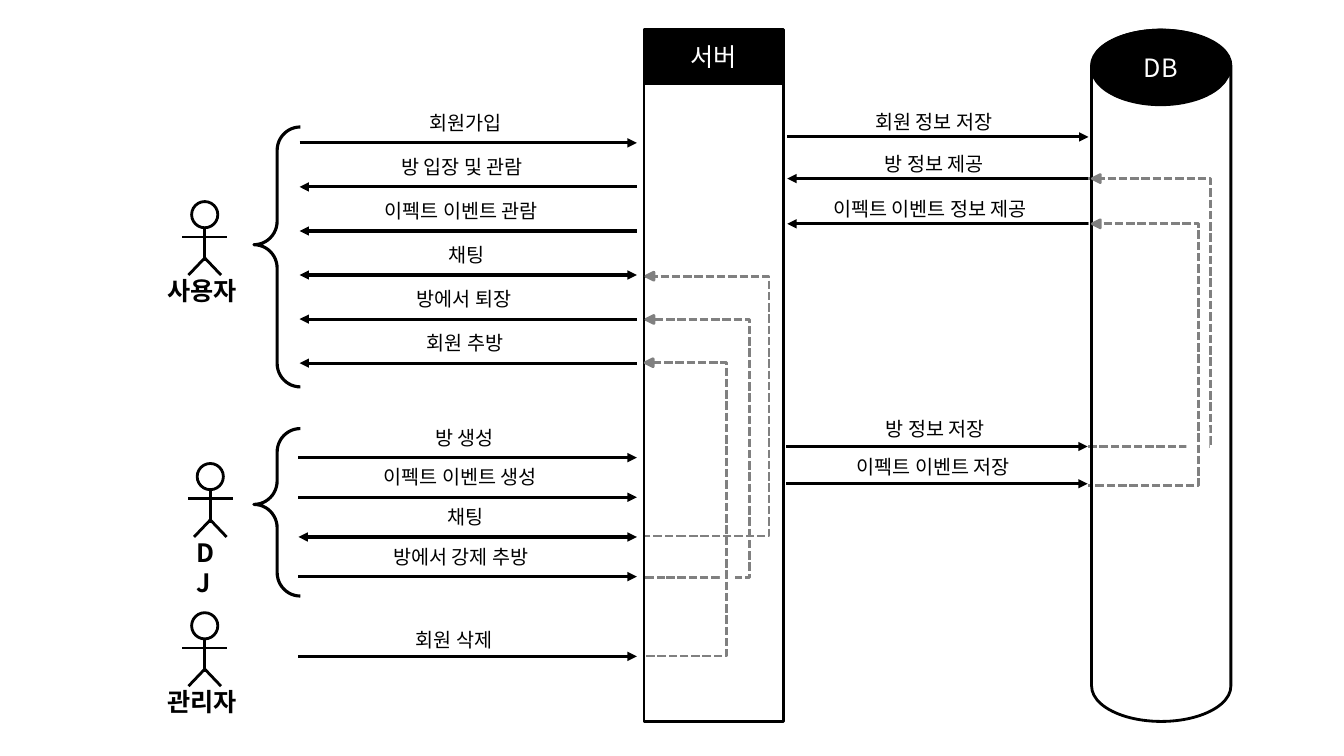
"""Draw the message flow between people, server and database as one slide."""
from dataclasses import dataclass
from enum import Enum
from typing import Any, NamedTuple

from lxml import etree
from pptx import Presentation
from pptx.dml.color import RGBColor
from pptx.enum import dml, shapes, text
from pptx.oxml import ns
from pptx.util import Cm, Pt


@dataclass(frozen=True)
class Theme:
    """Colours, font and sizes of the slide."""
    ink: RGBColor = RGBColor(0, 0, 0)
    paper: RGBColor = RGBColor(255, 255, 255)
    grey: RGBColor = RGBColor(128, 128, 128)
    font: str = "Noto Sans CJK KR"
    title_size: Pt = Pt(18)
    label_size: Pt = Pt(14)
    outline: Pt = Pt(2)
    arrow: Pt = Pt(2.25)


class Way(Enum):
    """Direction of a message."""
    RIGHT = "right"
    LEFT = "left"
    BOTH = "both"


class Box(NamedTuple):
    """Left, top, width and height in centimetres."""
    left: float
    top: float
    width: float
    height: float


class Message(NamedTuple):
    """Wording, height on the slide and direction of an arrow."""
    label: str
    y: float
    way: Way


@dataclass(frozen=True)
class Lane:
    """Messages sharing the same ends and label placement."""
    left: float
    right: float
    centre: float
    lift: float
    messages: list[Message]


@dataclass(frozen=True)
class Actor:
    """Stick figure with a name below."""
    name: str
    centre: float
    top: float
    name_width: float


@dataclass(frozen=True)
class ReturnPath:
    """Dashed loop with the left end of its arrowhead."""
    loop: Box
    tip: float


THEME = Theme()
SHAPE = shapes.MSO_SHAPE
USER_TOP, USER_STEP = 3.6, 1.11
DJ_TOP, DJ_STEP = 11.53, 1.0

USER_MESSAGES = [
    ("회원가입", Way.RIGHT), ("방 입장 및 관람", Way.LEFT),
    ("이펙트 이벤트 관람", Way.LEFT), ("채팅", Way.BOTH),
    ("방에서 퇴장", Way.LEFT), ("회원 추방", Way.LEFT),
]
DJ_MESSAGES = [
    ("방 생성", Way.RIGHT), ("이펙트 이벤트 생성", Way.RIGHT),
    ("채팅", Way.BOTH), ("방에서 강제 추방", Way.RIGHT),
]
LANES = [
    Lane(7.55, 16.05, 11.81, 0.93, [
        Message(label, USER_TOP + row * USER_STEP, way)
        for row, (label, way) in enumerate(USER_MESSAGES)]),
    Lane(7.52, 16.05, 11.78, 0.93, [
        Message(label, DJ_TOP + row * DJ_STEP, way)
        for row, (label, way) in enumerate(DJ_MESSAGES)]),
    Lane(7.52, 16.05, 11.54, 0.84, [Message("회원 삭제", 16.54, Way.RIGHT)]),
    Lane(19.84, 27.43, 23.68, 0.8, [
        Message("회원 정보 저장", 3.45, Way.RIGHT),
        Message("방 정보 제공", 4.5, Way.LEFT),
        Message("이펙트 이벤트 정보 제공", 5.64, Way.LEFT)]),
    Lane(19.81, 27.41, 23.7, 0.86, [
        Message("방 정보 저장", 11.25, Way.RIGHT),
        Message("이펙트 이벤트 저장", 12.19, Way.RIGHT)]),
]
ACTORS = [
    Actor("사용자", 5.16, 5.08, 2.39),
    Actor("관리자", 5.16, 15.44, 2.39),
    Actor("DJ", 5.3, 11.68, 1.17),
]
CHAT_RETURN = ReturnPath(Box(15.11, 6.96, 4.27, 6.55), 16.28)
LEAVE_RETURN = ReturnPath(Box(14.63, 8.05, 4.27, 6.5), 16.28)
BAN_RETURN = ReturnPath(Box(14.05, 9.14, 4.27, 7.39), 16.26)
ROOM_RETURN = ReturnPath(Box(26.47, 4.5, 4.04, 6.76), 27.53)
EFFECT_RETURN = ReturnPath(Box(26.57, 5.64, 3.63, 6.6), 27.53)
RETURNS = [CHAT_RETURN, LEAVE_RETURN, BAN_RETURN, ROOM_RETURN, EFFECT_RETURN]
BRACES = [Box(6.4, 10.8, 1.17, 4.22), Box(6.4, 3.2, 1.17, 6.55)]


def write(frame: Any, words: str, size: Pt, colour: RGBColor, bold: bool = False) -> None:
    """Put one styled paragraph into a text frame."""
    paragraph = frame.paragraphs[0]
    paragraph.text = words
    font = paragraph.font
    font.size, font.bold, font.name = size, bold, THEME.font
    font.color.rgb = colour
    defaults = paragraph._p.pPr.find(ns.qn("a:defRPr"))
    etree.SubElement(defaults, ns.qn("a:ea"), typeface=THEME.font)


def add_figure(parent: Any, kind: Any, box: Box, fill: RGBColor | None = None,
               line: RGBColor | None = THEME.ink, width: Pt = THEME.outline) -> Any:
    """Add a preset shape without shadow."""
    figure = parent.add_shape(kind, *map(Cm, box))
    figure.shadow.inherit = False
    if fill is None:
        figure.fill.background()
    else:
        figure.fill.solid()
        figure.fill.fore_color.rgb = fill
    if line is None:
        figure.line.fill.background()
    else:
        figure.line.color.rgb = line
        figure.line.width = width
    return figure


def add_line(parent: Any, x1: float, y1: float, x2: float, y2: float,
             width: Pt = THEME.outline, ends: tuple[str, ...] = ()) -> None:
    """Add a straight line with optional arrowheads."""
    line = parent.add_connector(shapes.MSO_CONNECTOR.STRAIGHT, *map(Cm, (x1, y1, x2, y2)))
    line.line.color.rgb = THEME.ink
    line.line.width = width
    for end in ends:
        etree.SubElement(line.line._get_or_add_ln(), ns.qn(f"a:{end}"), type="triangle")
    etree.SubElement(line._element.spPr, ns.qn("a:effectLst"))


def add_label(parent: Any, box: Box, words: str, size: Pt, bold: bool, wrap: bool) -> None:
    """Add a text box that grows with its text."""
    frame = parent.add_textbox(*map(Cm, box)).text_frame
    frame.word_wrap = wrap
    frame.auto_size = text.MSO_AUTO_SIZE.SHAPE_TO_FIT_TEXT
    write(frame, words, size, THEME.ink, bold)


def add_loop(parent: Any, path: ReturnPath) -> None:
    """Add the dashed outline of a return path."""
    loop = add_figure(parent, SHAPE.RECTANGLE, path.loop, line=THEME.grey)
    loop.line.dash_style = dml.MSO_LINE.SQUARE_DOT


def add_actor(parent: Any, actor: Actor) -> None:
    """Add a grouped stick figure and its name."""
    group = parent.add_group_shape().shapes
    x, y = actor.centre, actor.top
    add_figure(group, SHAPE.OVAL, Box(x - 0.33, y, 0.66, 0.66))
    add_line(group, x, y + 0.66, x, y + 1.5)
    for side in (-1, 1):
        add_line(group, x, y + 1.42, x + side * 0.41, y + 1.85)
    add_line(group, x - 0.56, y + 0.89, x + 0.56, y + 0.89)
    name_box = Box(x - actor.name_width / 2, y + 1.73, actor.name_width, 1.02)
    add_label(group, name_box, actor.name, THEME.title_size, True, True)


def add_message(parent: Any, lane: Lane, message: Message) -> None:
    """Add an arrow with its label above."""
    start, end = lane.left, lane.right
    if message.way is Way.LEFT:
        start, end = end, start
    ends = ("headEnd", "tailEnd") if message.way is Way.BOTH else ("tailEnd",)
    add_line(parent, start, message.y, end, message.y, THEME.arrow, ends)
    gaps = message.label.count(" ")
    width = 0.51 + 0.49 * (len(message.label) - gaps) + 0.15 * gaps
    label_box = Box(lane.centre - width / 2, message.y - lane.lift, width, 0.86)
    add_label(parent, label_box, message.label, THEME.label_size, False, False)


def add_store(parent: Any, body: Any, body_box: Box, cap: Any, cap_box: Box, title: str) -> None:
    """Add a grouped body with a black titled cap."""
    group = parent.add_group_shape().shapes
    outline = add_figure(group, body, body_box)
    if body is SHAPE.CAN:
        outline.adjustments[0] = 0.507
    frame = add_figure(group, cap, cap_box, THEME.ink).text_frame
    frame.vertical_anchor = text.MSO_ANCHOR.MIDDLE
    frame.paragraphs[0].alignment = text.PP_ALIGN.CENTER
    write(frame, title, THEME.title_size, THEME.paper)


def main() -> None:
    """Build and save the slide."""
    deck = Presentation()
    deck.slide_width, deck.slide_height = Cm(33.87), Cm(19.05)
    canvas = deck.slides.add_slide(deck.slide_layouts[6]).shapes

    add_loop(canvas, CHAT_RETURN)
    add_loop(canvas, LEAVE_RETURN)
    add_figure(canvas, SHAPE.RECTANGLE, Box(18.14, 14.17, 0.38, 0.66), THEME.paper, None)
    add_loop(canvas, BAN_RETURN)
    add_figure(canvas, SHAPE.RECTANGLE, Box(13.06, 6.1, 3.12, 12.24), THEME.paper, THEME.paper)
    add_loop(canvas, ROOM_RETURN)
    add_figure(canvas, SHAPE.RECTANGLE, Box(29.9, 10.77, 0.58, 0.66), THEME.paper, None)
    add_loop(canvas, EFFECT_RETURN)
    add_figure(canvas, SHAPE.RECTANGLE, Box(24.26, 4.11, 3.12, 11.99), THEME.paper, THEME.paper)

    for actor in ACTORS:
        add_actor(canvas, actor)
    for lane in LANES:
        for message in lane.messages:
            add_message(canvas, lane, message)
    add_store(canvas, SHAPE.CAN, Box(27.51, 0.76, 3.51, 17.42),
              SHAPE.OVAL, Box(27.51, 0.76, 3.48, 1.88), "DB")
    add_store(canvas, SHAPE.RECTANGLE, Box(16.23, 0.81, 3.51, 17.37),
              SHAPE.RECTANGLE, Box(16.23, 0.74, 3.51, 1.37), "서버")
    for box in BRACES:
        brace = add_figure(canvas, SHAPE.LEFT_BRACE, box, width=THEME.arrow)
        brace.adjustments[0], brace.adjustments[1] = 0.506, 0.453
    for path in RETURNS:
        tip_box = Box(path.tip, path.loop.top - 0.1, 0.2, 0.2)
        tip = add_figure(canvas, SHAPE.ISOSCELES_TRIANGLE, tip_box, THEME.grey, THEME.grey)
        tip.rotation = 270
    deck.save("out.pptx")


if __name__ == "__main__":
    main()
